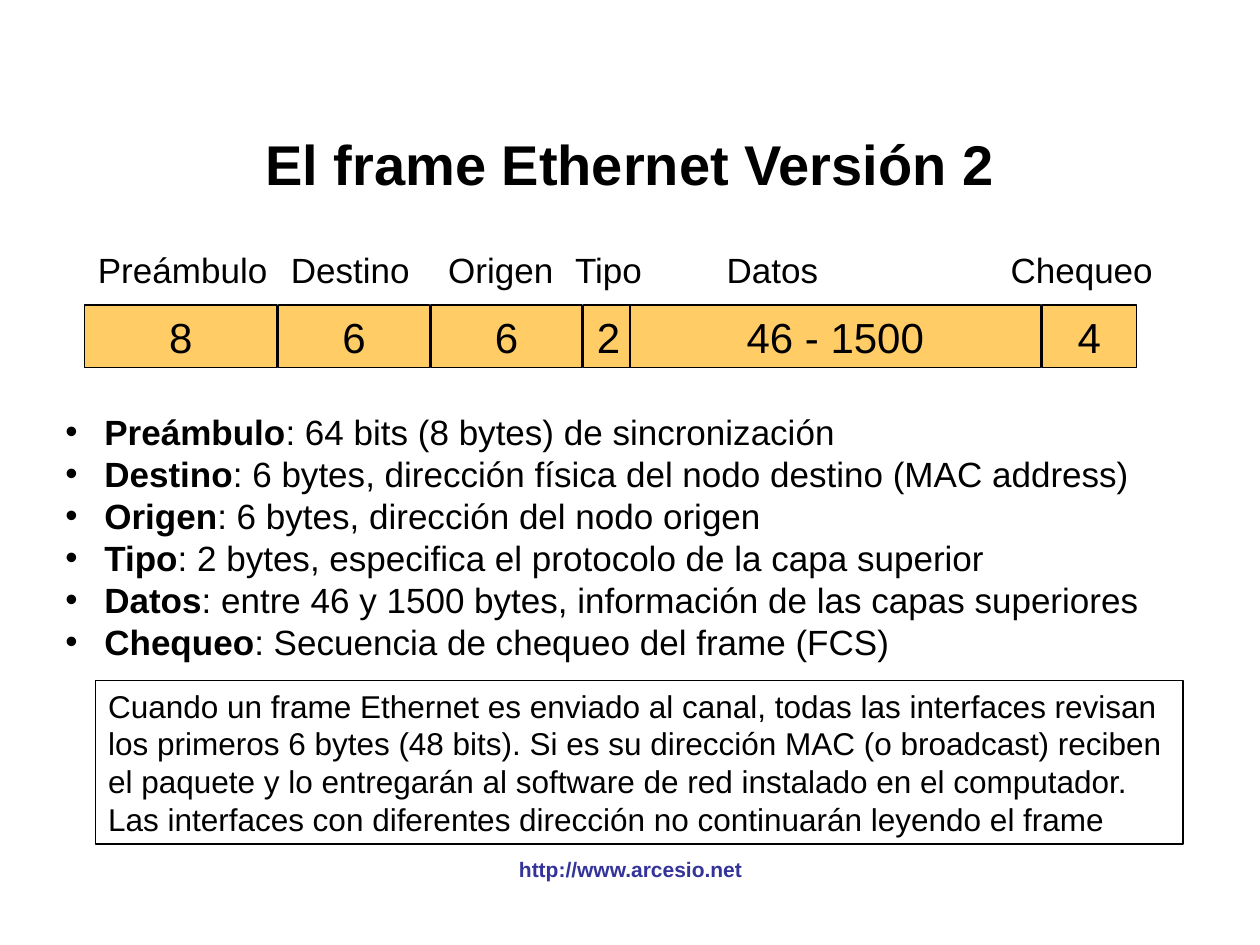
from lxml.etree import SubElement
from pptx import Presentation
from pptx.dml.color import RGBColor
from pptx.enum.shapes import MSO_SHAPE
from pptx.enum.text import MSO_ANCHOR, MSO_AUTO_SIZE, PP_ALIGN
from pptx.oxml.ns import qn
from pptx.util import Inches, Pt

BLACK = RGBColor(0x00, 0x00, 0x00)
ORANGE = RGBColor(0xFF, 0xCC, 0x66)
NAVY = RGBColor(0x33, 0x33, 0x99)
FONT = "Arial"

# name, bytes, field left, field width, label left, label width
FIELDS = [
    ("Preámbulo", "8", 0.67, 1.53, 0.67, 1.56),
    ("Destino", "6", 2.21, 1.2, 2.2, 1.16),
    ("Origen", "6", 3.42, 1.2, 3.45, 1.05),
    ("Tipo", "2", 4.63, 0.4, 4.45, 0.76),
    ("Datos", "46 - 1500", 5, 3.26, 5.66, 0.94),
    ("Chequeo", "4", 8.27, 0.75, 7.91, 1.35),
]
DESCRIPTIONS = [
    ("Preámbulo", ": 64 bits (8 bytes) de sincronización"),
    ("Destino", ": 6 bytes, dirección física del nodo destino (MAC address)"),
    ("Origen", ": 6 bytes, dirección del nodo origen"),
    ("Tipo", ": 2 bytes, especifica el protocolo de la capa superior"),
    ("Datos", ": entre 46 y 1500 bytes, información de las capas superiores"),
    ("Chequeo", ": Secuencia de chequeo del frame (FCS)"),
]
NOTE_LINES = [
    "Cuando un frame Ethernet es enviado al canal, todas las interfaces revisan",
    "los primeros 6 bytes (48 bits). Si es su dirección MAC (o broadcast) reciben",
    "el paquete y lo entregarán al software de red instalado en el computador.",
    "Las interfaces con diferentes dirección no continuarán leyendo el frame",
]


def add_run(paragraph, text, size, bold=False, color=BLACK):
    run = paragraph.add_run()
    run.text = text
    run.font.name = FONT
    run.font.size = Pt(size)
    run.font.bold = bold
    run.font.color.rgb = color


def add_paragraphs(frame, count):
    """Return the frame's first paragraph followed by new ones, count in all."""
    return [frame.paragraphs[0]] + [frame.add_paragraph() for _ in range(count - 1)]


def add_text_box(slide, left, top, width, height, anchor=MSO_ANCHOR.MIDDLE, wrap=True):
    """Add a text box; one that does not wrap grows with its text."""
    box = slide.shapes.add_textbox(Inches(left), Inches(top), Inches(width), Inches(height))
    frame = box.text_frame
    frame.word_wrap = wrap
    frame.vertical_anchor = anchor
    if not wrap:
        frame.auto_size = MSO_AUTO_SIZE.SHAPE_TO_FIT_TEXT
    return frame


def add_line_of_text(slide, box, text, size, anchor=MSO_ANCHOR.MIDDLE, wrap=True, **style):
    """Place one centred line of text in the box (left, top, width, height)."""
    paragraph = add_text_box(slide, *box, anchor=anchor, wrap=wrap).paragraphs[0]
    paragraph.alignment = PP_ALIGN.CENTER
    add_run(paragraph, text, size, **style)


def add_rectangle(slide, left, top, width, height, fill=None, wrap=True):
    rectangle = slide.shapes.add_shape(
        MSO_SHAPE.RECTANGLE, Inches(left), Inches(top), Inches(width), Inches(height))
    rectangle.shadow.inherit = False
    if fill is None:
        rectangle.fill.background()
    else:
        rectangle.fill.solid()
        rectangle.fill.fore_color.rgb = fill
    rectangle.line.color.rgb = BLACK
    rectangle.line.width = Pt(0.75)
    rectangle.text_frame.word_wrap = wrap
    rectangle.text_frame.vertical_anchor = MSO_ANCHOR.MIDDLE
    return rectangle.text_frame


def add_frame_diagram(slide, top):
    """Draw the row of field names and, below it, the row of field sizes."""
    for name, size, left, width, label_left, label_width in FIELDS:
        add_line_of_text(slide, (label_left, top, label_width, 0.44), name, 20, wrap=False)
        frame = add_rectangle(slide, left, top + 0.5, width, 0.5, ORANGE, wrap=False)
        frame.paragraphs[0].alignment = PP_ALIGN.CENTER
        add_run(frame.paragraphs[0], size, 24)


def add_bullet(paragraph, indent):
    properties = paragraph._p.get_or_add_pPr()
    properties.set("marL", str(indent))
    properties.set("indent", str(-indent))
    SubElement(properties, qn("a:buFont"), typeface=FONT)
    SubElement(properties, qn("a:buChar"), char="•")


def add_field_descriptions(slide, box):
    frame = add_text_box(slide, *box)
    for paragraph, (name, text) in zip(add_paragraphs(frame, len(DESCRIPTIONS)), DESCRIPTIONS):
        add_bullet(paragraph, Inches(0.31))
        add_run(paragraph, name, 20, bold=True)
        add_run(paragraph, text, 20)


def add_note(slide, box):
    frame = add_rectangle(slide, *box)
    for paragraph, text in zip(add_paragraphs(frame, len(NOTE_LINES)), NOTE_LINES):
        paragraph.alignment = PP_ALIGN.LEFT
        add_run(paragraph, text, 18)


def main():
    presentation = Presentation()
    presentation.slide_width = Inches(10)
    presentation.slide_height = Inches(7.5)
    slide = presentation.slides.add_slide(presentation.slide_layouts[6])
    add_line_of_text(slide, (0.75, 0.67, 8.5, 1.25), "El frame Ethernet Versión 2", 32, bold=True)
    add_frame_diagram(slide, 1.92)
    add_field_descriptions(slide, (0.42, 3.21, 9.13, 2.1))
    add_note(slide, (0.76, 5.4, 8.63, 1.3))
    add_line_of_text(slide, (3.42, 6.75, 3.17, 0.3), "http://www.arcesio.net", 12,
                     anchor=MSO_ANCHOR.BOTTOM, bold=True, color=NAVY)
    presentation.save("out.pptx")


if __name__ == "__main__":
    main()
